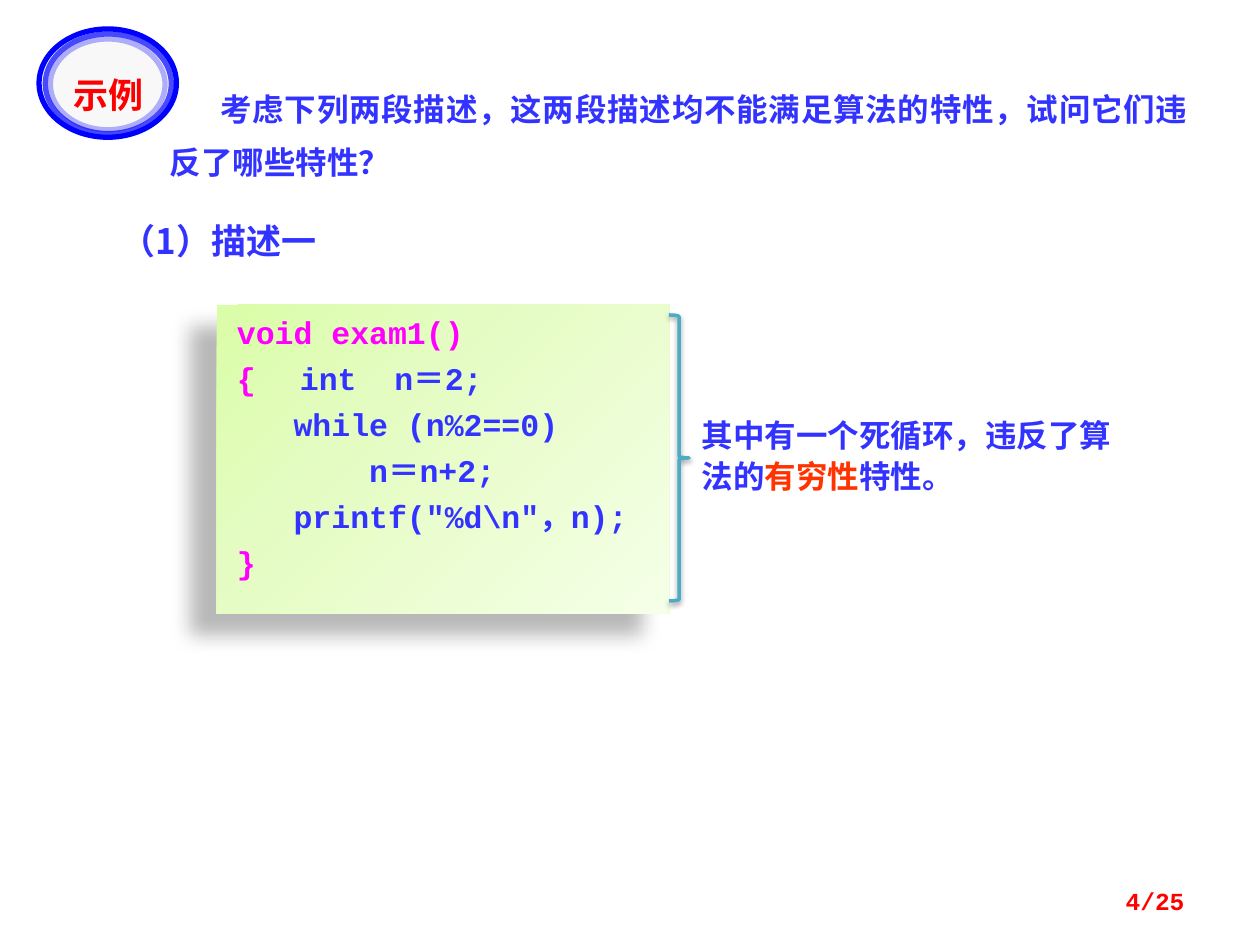
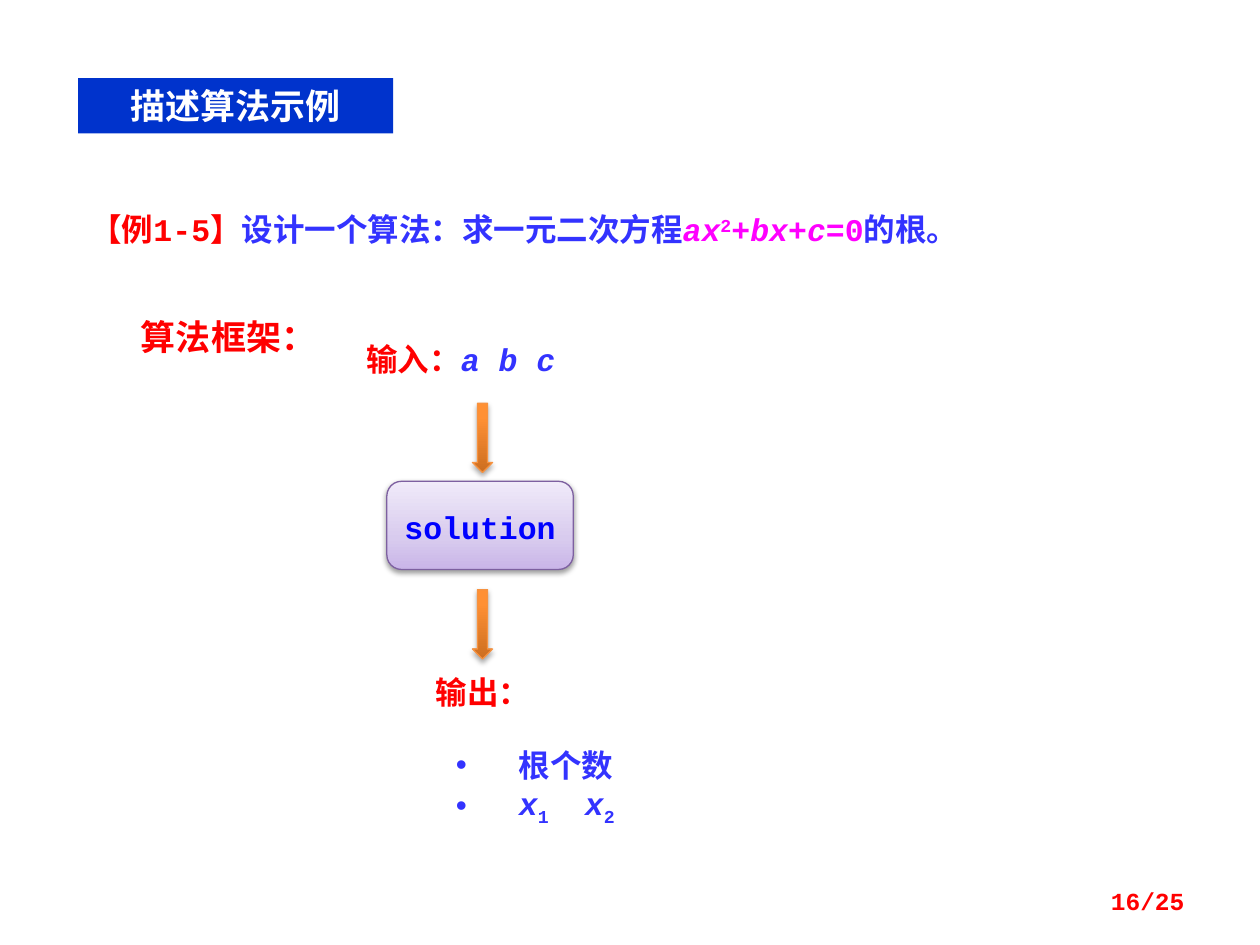
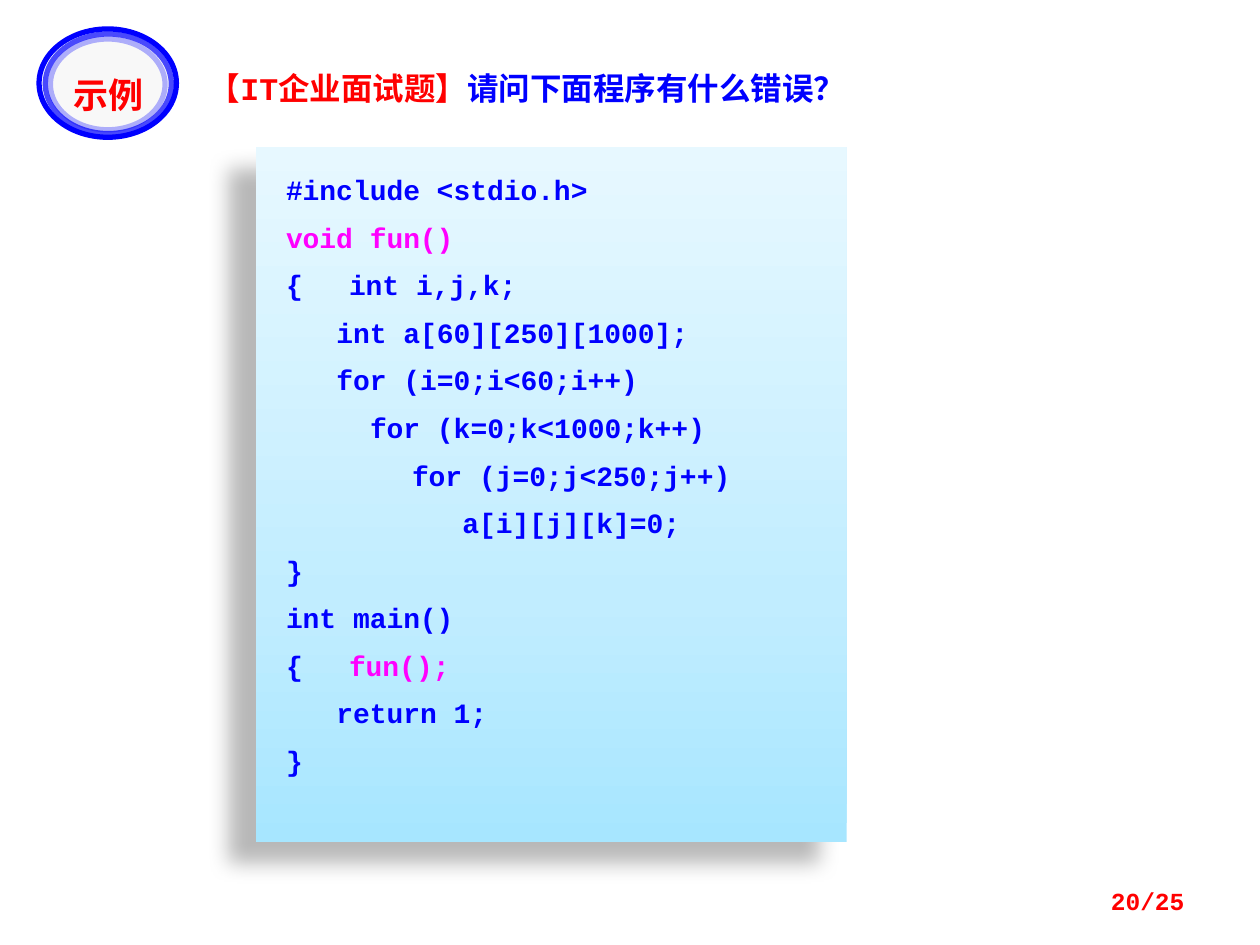
from lxml.etree import SubElement
from pptx import Presentation
from pptx.dml.color import RGBColor
from pptx.enum.shapes import MSO_SHAPE
from pptx.enum.text import MSO_ANCHOR, PP_ALIGN
from pptx.oxml import parse_xml
from pptx.oxml.ns import nsdecls, qn
from pptx.util import Inches, Pt

# Shared look
RED, BLUE, TEXT_BLUE, MAGENTA = "FF0000", "0000FF", "3333FF", "FF00FF"
ORANGE_RED, WHITE, BANNER_BLUE = "FF3300", "FFFFFF", "0033CC"
MONO, SANS, SANS_JP, SERIF = "Courier New", "Noto Sans CJK SC", "Noto Sans CJK JP", "Times New Roman"
BASELINES = {"sup": "30000", "sub": "-25000"}
PAGE_COUNT = 25

# Gradients: stops (percent, colour) and angle; shadows: alpha, blur, distance, angle
GREEN = ([(0, "DAFDA7"), (35, "E4FCC2"), (100, "F5FFE7")], 45)
SKY = ([(0, "A7E6FF"), (35, "C1EDFF"), (100, "E7F8FF")], 270)
PURPLE = ([(0, "C9B5E8"), (35, "D8CBEE"), (100, "F0EAF9")], 270)
ORANGE = ([(0, "CC6E20"), (80, "FF9034"), (100, "FF9136")], 270)
PANEL_SHADOW = (28, 11.8, 19.7, 141)
SOFT_SHADOW = (38, 3.1, 1.6, 90)
ARROW_SHADOW = (35, 3.1, 1.8, 90)

# Content: runs are (text, colour, optional style); code lines are (column, runs)
QUESTION = [("考虑下列两段描述，这两段描述均不能满足算法的特性，试问它们违反了哪些特性？", TEXT_BLUE)]
ANSWER = [("其中有一个死循环，违反了算法的", TEXT_BLUE), ("有穷性", ORANGE_RED), ("特性。", TEXT_BLUE)]
LOOP_CODE = [
    (0, [("void exam1()", MAGENTA)]),
    (0, [("{\t", MAGENTA), ("int  n＝2;", TEXT_BLUE)]),
    (3, [("while (n%2==0)", TEXT_BLUE)]),
    (7, [("n＝n+2;", TEXT_BLUE)]),
    (3, [(r'printf("%d\n"，n);', TEXT_BLUE)]),
    (0, [("}", MAGENTA)]),
]
EQUATION_TASK = [
    ("【例1-5】", RED), ("设计一个算法：求一元二次方程", TEXT_BLUE),
    ("ax", MAGENTA, "i"), ("2", MAGENTA, "sup"), ("+", MAGENTA), ("bx", MAGENTA, "i"),
    ("+", MAGENTA), ("c", MAGENTA, "i"), ("=0", MAGENTA), ("的根。", TEXT_BLUE),
]
INPUTS = [("输入：", RED), ("a b c", TEXT_BLUE, "i")]
OUTPUTS = [
    [("根个数", TEXT_BLUE)],
    [("x", TEXT_BLUE, "i"), ("1", TEXT_BLUE, "sub"),
     ("\tx", TEXT_BLUE, "i"), ("2", TEXT_BLUE, "sub")],
]
INTERVIEW = [("【IT企业面试题】", RED), ("请问下面程序有什么错误？", BLUE)]
ARRAY_CODE = [
    (0, [("#include <stdio.h>", BLUE)]),
    (0, [("void fun()", MAGENTA)]),
    (0, [("{\tint i,j,k;", BLUE)]),
    (3, [("int a[60][250][1000];", BLUE)]),
    (3, [("for (i=0;i<60;i++)", BLUE)]),
    (5, [("for (k=0;k<1000;k++)", BLUE)]),
    (7.5, [("for (j=0;j<250;j++)", BLUE)]),
    (10.5, [("a[i][j][k]=0;", BLUE)]),
    (0, [("}", BLUE)]),
    (0, [("int main()", BLUE)]),
    (0, [("{\t", BLUE), ("fun();", MAGENTA)]),
    (3, [("return 1;", BLUE)]),
    (0, [("}", BLUE)]),
]


def color(value):
    return RGBColor.from_string(value)


def add_gradient(shape, stops, angle):
    stop_xml = "".join(f'<a:gs pos="{place * 1000}"><a:srgbClr val="{value}"/></a:gs>'
                       for place, value in stops)
    gradient = parse_xml(f'<a:gradFill {nsdecls("a")} rotWithShape="1"><a:gsLst>{stop_xml}</a:gsLst>'
                         f'<a:lin ang="{angle * 60000}" scaled="0"/></a:gradFill>')
    shape.element.spPr.find(qn("a:prstGeom")).addnext(gradient)


def add_shadow(shape, alpha, blur, distance, angle):
    effects = shape.element.spPr.find(qn("a:effectLst"))
    effects.append(parse_xml(
        f'<a:outerShdw {nsdecls("a")} blurRad="{Pt(blur)}" dist="{Pt(distance)}" '
        f'dir="{angle * 60000}" algn="ctr" rotWithShape="0"><a:srgbClr val="000000">'
        f'<a:alpha val="{alpha * 1000}"/></a:srgbClr></a:outerShdw>'))


def draw(slide, kind, box, fill=None, line=None, width=0.75, alpha=None, shadow=None):
    """Add a preset shape; fill is a colour, a gradient or None."""
    shape = slide.shapes.add_shape(kind, *map(Inches, box))
    shape.shadow.inherit = False
    if isinstance(fill, tuple):
        add_gradient(shape, *fill)
    elif fill:
        shape.fill.solid()
        shape.fill.fore_color.rgb = color(fill)
    else:
        shape.fill.background()
    if line:
        shape.line.color.rgb = color(line)
        shape.line.width = Pt(width)
        if alpha:
            line_color = shape.line._ln.find(".//" + qn("a:srgbClr"))
            SubElement(line_color, qn("a:alpha"), val=str(alpha * 1000))
    else:
        shape.line.fill.background()
    if shadow:
        add_shadow(shape, *shadow)
    return shape


def write(shape, paragraphs, size=18, font=MONO, align=PP_ALIGN.LEFT, spacing=None, before=True,
          anchor=MSO_ANCHOR.TOP, insets=(0.1, 0.05, 0.1, 0.05), margins=None, first=0,
          tab=None, bullet=None):
    """Fill a shape with paragraphs, each a list of runs."""
    frame = shape.text_frame
    frame.word_wrap = True
    frame.vertical_anchor = anchor
    frame.margin_left, frame.margin_top, frame.margin_right, frame.margin_bottom = map(Inches, insets)
    for index, runs in enumerate(paragraphs):
        paragraph = frame.paragraphs[0] if index == 0 else frame.add_paragraph()
        paragraph.alignment = align
        if spacing:
            paragraph.line_spacing = spacing
        properties = paragraph._p.get_or_add_pPr()
        properties.set("marL", str(Inches(margins[index] if margins else 0)))
        properties.set("indent", str(Inches(first)))
        if before:
            SubElement(SubElement(properties, qn("a:spcBef")), qn("a:spcPct"), val="50000")
        if bullet:
            SubElement(properties, qn("a:buFont"), typeface="Arial")
            SubElement(properties, qn("a:buChar"), char=bullet)
        if tab:
            stops = SubElement(properties, qn("a:tabLst"))
            SubElement(stops, qn("a:tab"), pos=str(Inches(tab)), algn="l")
        for text, run_color, *style in runs:
            run = paragraph.add_run()
            run.text = text
            run.font.name, run.font.size, run.font.bold = font, Pt(size), True
            run.font.color.rgb = color(run_color)
            run.font.italic = "i" in style
            run_properties = run._r.get_or_add_rPr()
            SubElement(run_properties, qn("a:ea"), typeface=font if "CJK" in font else SANS)
            for name in style:
                if name in BASELINES:
                    run_properties.set("baseline", BASELINES[name])


def add_text(slide, box, runs, **options):
    write(slide.shapes.add_textbox(*map(Inches, box)), [runs], **options)


def add_code(slide, box, fill, lines, size, **options):
    """Shadowed panel whose lines are indented by character columns."""
    character = 0.6 * size / 72
    panel = draw(slide, MSO_SHAPE.RECTANGLE, box, fill, shadow=PANEL_SHADOW)
    write(panel, [runs for _, runs in lines], size=size, tab=3 * character,
          margins=[column * character for column, _ in lines], **options)


def add_badge(slide):
    rings = [((0.31, 0.23, 1.09, 0.86), "F8F8F8", None),
             ((0.36, 0.27, 1, 0.79), None, 70),
             ((0.4, 0.31, 0.91, 0.72), None, 30)]
    for box, fill, alpha in rings:
        draw(slide, MSO_SHAPE.OVAL, box, fill, BLUE, 3, alpha)
    add_text(slide, (0.38, 0.5, 0.96, 0.39), [("示例", RED)], size=20, font=SANS_JP,
             align=PP_ALIGN.CENTER, spacing=1.1)


def add_page_number(slide, number):
    add_text(slide, (7.17, 6.95, 2.33, 0.4), [(f"{number}/{PAGE_COUNT}", RED)], size=14,
             align=PP_ALIGN.RIGHT, before=False, anchor=MSO_ANCHOR.MIDDLE)


def build_loop_slide(slide):
    add_text(slide, (1.25, 0.55, 8.28, 0.89), QUESTION, font=SERIF, align=PP_ALIGN.JUSTIFY,
             spacing=Pt(30), before=False, first=0.4)
    add_code(slide, (1.72, 2.42, 3.59, 2.45), GREEN, LOOP_CODE, 18, align=PP_ALIGN.JUSTIFY,
             spacing=0.8, insets=(0.16, 0.12, 0.16, 0.12))
    draw(slide, MSO_SHAPE.RIGHT_BRACE, (5.31, 2.5, 0.16, 2.27), line="4BACC6", width=2,
         shadow=SOFT_SHADOW)
    add_text(slide, (5.47, 3.22, 3.67, 0.74), ANSWER, font=SANS, spacing=1.1)
    add_text(slide, (0.86, 1.66, 2.81, 0.45), [("（1）描述一", TEXT_BLUE)], size=20, font=SANS,
             spacing=1.1)
    add_badge(slide)


def build_equation_slide(slide):
    add_text(slide, (0.62, 1.56, 7.27, 0.46), EQUATION_TASK, spacing=1.2)
    banner = draw(slide, MSO_SHAPE.RECTANGLE, (0.62, 0.62, 2.5, 0.44), BANNER_BLUE)
    write(banner, [[("描述算法示例", WHITE)]], size=20, font=SANS, align=PP_ALIGN.CENTER)
    add_text(slide, (1.02, 2.42, 1.72, 0.47), [("算法框架：", RED)], size=20, font=SANS, spacing=1.1)

    # Flow from input through solution to output
    solution = draw(slide, MSO_SHAPE.ROUNDED_RECTANGLE, (3.07, 3.82, 1.48, 0.7), PURPLE, "7D60A0",
                    shadow=SOFT_SHADOW)
    write(solution, [[("solution", BLUE)]], align=PP_ALIGN.CENTER, spacing=1.1,
          anchor=MSO_ANCHOR.MIDDLE)
    add_text(slide, (2.81, 2.65, 2.03, 0.4), INPUTS, before=False)
    add_text(slide, (3.36, 5.29, 1.02, 0.4), [("输出：", RED)], font=SANS, before=False)
    for top in (3.2, 4.68):
        draw(slide, MSO_SHAPE.DOWN_ARROW, (3.75, top, 0.16, 0.55), ORANGE, "F69240",
             shadow=ARROW_SHADOW)
    results = draw(slide, MSO_SHAPE.RECTANGLE, (3.52, 5.8, 1.72, 0.84), WHITE)
    write(results, OUTPUTS, before=False, insets=(0.1, 0.12, 0.1, 0.12), margins=[0.5, 0.5],
          first=-0.5, tab=1.03, bullet="•")


def build_interview_slide(slide):
    add_code(slide, (2.03, 1.17, 4.69, 5.51), SKY, ARRAY_CODE, 16, insets=(0.24, 0.2, 0.1, 0.2))
    add_text(slide, (1.56, 0.47, 6.17, 0.41), INTERVIEW, spacing=1.1)
    add_badge(slide)


def main():
    presentation = Presentation()
    presentation.slide_width, presentation.slide_height = Inches(10), Inches(7.5)
    pages = [(4, build_loop_slide), (16, build_equation_slide), (20, build_interview_slide)]
    for number, build in pages:
        slide = presentation.slides.add_slide(presentation.slide_layouts[6])
        build(slide)
        add_page_number(slide, number)
    presentation.save("out.pptx")


if __name__ == "__main__":
    main()
